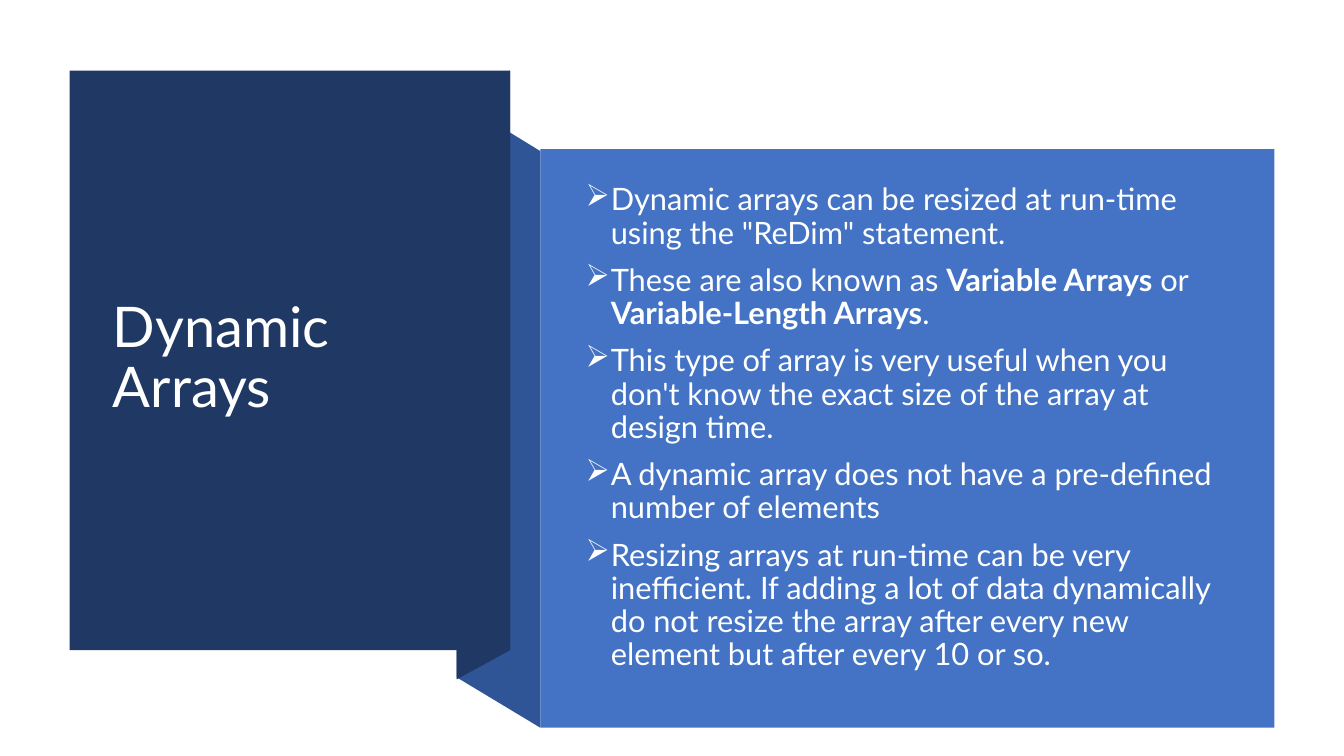
from lxml import etree
from pptx import Presentation
from pptx.dml.color import RGBColor
from pptx.enum.shapes import MSO_SHAPE
from pptx.enum.text import MSO_ANCHOR, MSO_AUTO_SIZE, PP_ALIGN
from pptx.oxml.ns import qn
from pptx.util import Inches, Pt

RECT = MSO_SHAPE.RECTANGLE
MIDDLE = MSO_ANCHOR.MIDDLE
NO_FIT = MSO_AUTO_SIZE.NONE
LEFT = PP_ALIGN.LEFT

FONT = "Lato"
NAVY, FOLD, BLUE = "203864", "2F5597", "4472C4"
WHITE, PALE = "FFFFFF", "FEFFFF"

# Boxes in inches: left, top, width, height
DARK = (0.69, 0.7, 4.37, 5.75)
LIGHT = (5.36, 1.48, 7.28, 5.74)
FOLD_LEFT = 4.53

# Asterisks enclose bold words
POINTS = [
    'Dynamic arrays can be resized at run-time using the "ReDim" statement.',
    "These are also known as *Variable Arrays* or *Variable-Length Arrays*.",
    "This type of array is very useful when you don't know the exact size "
    "of the array at design time.",
    "A dynamic array does not have a pre-defined number of elements",
    "Resizing arrays at run-time can be very inefficient. If adding a lot of "
    "data dynamically do not resize the array after every new element but "
    "after every 10 or so.",
]


def color(code):
    return RGBColor.from_string(code)


def paint(shape, code):
    shape.shadow.inherit = False
    shape.fill.solid()
    shape.fill.fore_color.rgb = color(code)
    shape.line.fill.background()


def place(shape, left, top, width, height):
    shape.left, shape.top = Inches(left), Inches(top)
    shape.width, shape.height = Inches(width), Inches(height)


def style(run, size, code, bold=False):
    run.font.name, run.font.size, run.font.bold = FONT, Pt(size), bold
    run.font.color.rgb = color(code)


def set_frame(frame):
    frame.word_wrap = True
    frame.auto_size = NO_FIT
    frame.vertical_anchor = MIDDLE


def add_panel(slide, box, code):
    panel = slide.shapes.add_shape(RECT, *map(Inches, box))
    paint(panel, code)


def add_band(slide, points, code):
    spots = [(Inches(x), Inches(y)) for x, y in points]
    form = slide.shapes.build_freeform(*spots[0])
    form.add_line_segments(spots[1:], close=True)
    paint(form.convert_to_shape(), code)


def add_folds(slide, dark, light):
    """Ribbon folds that join the dark panel to the light one."""
    right, top = dark[0] + dark[2], dark[1]
    base = top + dark[3]
    edge, foot = light[0], light[1] + light[3]
    drop = 0.29
    add_band(slide, [(edge, foot), (FOLD_LEFT, foot - 0.5),
                     (FOLD_LEFT, top + drop), (edge, light[1] + 0.02)], FOLD)
    add_band(slide, [(right, base), (FOLD_LEFT, base + drop),
                     (FOLD_LEFT, top + drop), (right, top)], NAVY)


def add_title(slide, box, text):
    left, top, width, height = box
    add_panel(slide, box, NAVY)
    title = slide.shapes.title
    place(title, left + 0.33, top + 0.37, width - 0.66, height - 0.76)
    slide.shapes.element.append(title.element)  # bring to front
    set_frame(title.text_frame)
    title.text_frame.text = text
    para = title.text_frame.paragraphs[0]
    para.alignment, para.line_spacing = LEFT, 0.9
    style(para.runs[0], 40, WHITE)


def add_bullet(para):
    props = para._p.get_or_add_pPr()
    props.set("marL", str(Inches(0.25)))
    props.set("indent", str(-Inches(0.25)))
    etree.SubElement(props, qn("a:buFont"), typeface="Wingdings 3")
    props.remove(props[-1])
    etree.SubElement(props, qn("a:buChar"), char="➢")


def add_points(slide, box, points):
    left, top, width, height = box
    add_panel(slide, box, BLUE)
    area = (left + 0.35, top + 0.4, width - 0.77, height - 1)
    frame = slide.shapes.add_textbox(*map(Inches, area)).text_frame
    set_frame(frame)
    for i, point in enumerate(points):
        para = frame.add_paragraph() if i else frame.paragraphs[0]
        para.alignment, para.line_spacing = LEFT, 0.9
        para.space_before = Pt(10)
        add_bullet(para)
        for k, part in enumerate(point.split("*")):
            run = para.add_run()
            run.text = part
            style(run, 22, PALE, bold=k % 2 == 1)


def main():
    deck = Presentation()
    deck.slide_width, deck.slide_height = Inches(13.33), Inches(7.5)
    slide = deck.slides.add_slide(deck.slide_layouts[5])
    add_folds(slide, DARK, LIGHT)
    add_title(slide, DARK, "Dynamic Arrays")
    add_points(slide, LIGHT, POINTS)
    deck.save("out.pptx")


if __name__ == "__main__":
    main()
